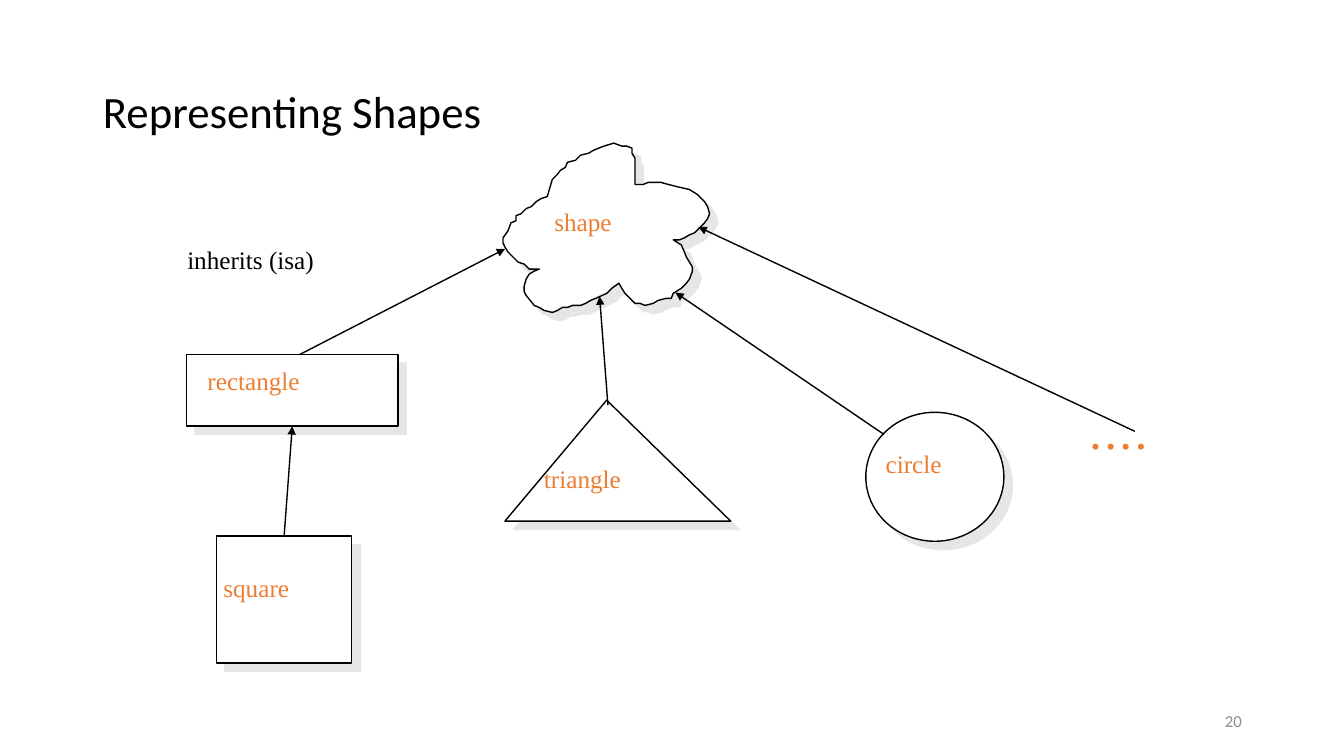
from lxml.etree import SubElement
from pptx import Presentation
from pptx.dml.color import RGBColor
from pptx.enum.shapes import MSO_CONNECTOR, MSO_SHAPE
from pptx.enum.text import MSO_ANCHOR, MSO_AUTO_SIZE, PP_ALIGN
from pptx.oxml.ns import qn
from pptx.util import Cm, Pt

BLACK = RGBColor(0x00, 0x00, 0x00)
WHITE = RGBColor(0xFF, 0xFF, 0xFF)
ORANGE = RGBColor(0xED, 0x7D, 0x31)
GRAY = RGBColor(0x8C, 0x8C, 0x8C)
SHADOW = RGBColor(0xE7, 0xE6, 0xE6)

SERIF = "Times New Roman"
SANS = "Calibri"
LABEL_HEIGHT = 1.12
OUTLINE_UNIT = Cm(2.54) / 100

CLOUD = [
    (545, 188), (548, 178), (553, 173), (556, 169), (561, 166), (563, 161),
    (571, 159), (576, 154), (584, 152), (589, 149), (594, 147), (599, 145),
    (609, 142), (617, 145), (622, 145), (627, 147), (627, 152), (630, 157),
    (630, 161), (630, 166), (630, 171), (630, 178), (630, 183), (638, 183),
    (643, 181), (651, 181), (656, 181), (663, 183), (671, 185), (684, 188),
    (692, 193), (699, 200), (702, 205), (704, 212), (702, 217), (699, 221),
    (694, 226), (689, 231), (684, 233), (679, 236), (674, 238), (668, 238),
    (676, 243), (679, 250), (681, 255), (684, 260), (687, 265), (687, 269),
    (684, 277), (681, 281), (676, 286), (668, 291), (666, 296), (661, 296),
    (653, 298), (648, 301), (640, 303), (635, 301), (630, 301), (625, 296),
    (620, 291), (617, 286), (614, 281), (607, 286), (602, 291), (591, 296),
    (586, 298), (581, 301), (576, 303), (568, 303), (563, 305), (558, 305),
    (553, 308), (548, 310), (540, 308), (535, 305), (530, 303), (522, 293),
    (520, 289), (520, 284), (522, 277), (525, 272), (530, 269), (535, 267),
    (530, 267), (525, 267), (520, 262), (514, 260), (509, 255), (504, 250),
    (501, 245), (499, 241), (499, 236), (504, 229), (507, 221), (512, 219),
    (512, 214), (517, 212), (522, 207), (527, 205), (532, 200), (537, 197),
    (543, 195),
]
TRIANGLE = [(725, 517), (501, 517), (602, 397)]


def write_text(tf, text, size=18, font=SERIF, color=ORANGE, align=PP_ALIGN.LEFT,
               anchor=MSO_ANCHOR.TOP, wrap=False, fit=MSO_AUTO_SIZE.SHAPE_TO_FIT_TEXT,
               line_spacing=None):
    tf.word_wrap = wrap
    tf.auto_size = fit
    tf.vertical_anchor = anchor
    p = tf.paragraphs[0]
    p.alignment = align
    p.line_spacing = line_spacing
    r = p.add_run()
    r.text = text
    r.font.size = Pt(size)
    r.font.name = font
    r.font.color.rgb = color


def add_label(s, text, left, top, width, height=LABEL_HEIGHT, **fmt):
    sp = s.shapes.add_textbox(Cm(left), Cm(top), Cm(width), Cm(height))
    write_text(sp.text_frame, text, **fmt)


def style_figure(sp):
    sp.fill.solid()
    sp.fill.fore_color.rgb = WHITE
    sp.line.color.rgb = BLACK
    sp.line.width = Pt(1)
    sp.shadow.inherit = False
    effects = sp.element.spPr.find(qn("a:effectLst"))
    shadow = SubElement(effects, qn("a:outerShdw"), dist=str(Pt(8.5)),
                        dir="2700000", algn="ctr", rotWithShape="0")
    SubElement(shadow, qn("a:srgbClr"), val=str(SHADOW))
    return sp


def add_figure(s, kind, left, top, width, height):
    return style_figure(s.shapes.add_shape(kind, Cm(left), Cm(top), Cm(width), Cm(height)))


def add_outline(s, points):
    builder = s.shapes.build_freeform(*points[0], scale=OUTLINE_UNIT)
    builder.add_line_segments(points[1:], close=True)
    return style_figure(builder.convert_to_shape())


def add_arrow(s, x1, y1, x2, y2):
    line = s.shapes.add_connector(MSO_CONNECTOR.STRAIGHT, Cm(x1), Cm(y1), Cm(x2), Cm(y2))
    line.line.color.rgb = BLACK
    line.line.width = Pt(1)
    spPr = line.element.spPr
    SubElement(spPr.find(qn("a:ln")), qn("a:tailEnd"), type="triangle")
    SubElement(spPr, qn("a:effectLst"))
    return line


def add_title(s, text):
    title = s.shapes.title
    title.left, title.top, title.width, title.height = Cm(2.34), Cm(1.02), Cm(29.21), Cm(3.68)
    write_text(title.text_frame, text, size=32, font=SANS, color=BLACK, wrap=True,
               anchor=MSO_ANCHOR.MIDDLE, fit=MSO_AUTO_SIZE.NONE, line_spacing=0.9)


def main():
    prs = Presentation()
    prs.slide_width, prs.slide_height = Cm(33.87), Cm(19.05)
    s = prs.slides.add_slide(prs.slide_layouts[5])

    add_title(s, "Representing Shapes")
    add_label(s, "20", 23.93, 17.65, 7.62, 1.02, size=12, font=SANS, color=GRAY, wrap=True,
              align=PP_ALIGN.RIGHT, anchor=MSO_ANCHOR.MIDDLE, fit=MSO_AUTO_SIZE.NONE)

    add_outline(s, CLOUD)
    add_label(s, "shape", 13.72, 5.08, 2.34)
    rectangle = add_figure(s, MSO_SHAPE.RECTANGLE, 4.7, 8.94, 5.33, 1.8)
    add_label(s, "rectangle", 4.98, 9.07, 3.38)
    square = add_figure(s, MSO_SHAPE.RECTANGLE, 5.46, 13.51, 3.4, 3.2)
    add_label(s, "square", 5.38, 14.3, 2.59)
    add_outline(s, TRIANGLE)
    add_label(s, "triangle", 13.46, 11.56, 2.92)
    add_figure(s, MSO_SHAPE.OVAL, 21.82, 10.39, 3.48, 3.25)
    add_label(s, "circle", 22.07, 11.18, 2.29)
    add_label(s, "• • • •", 27.25, 10.72, 3.35, wrap=True)

    add_arrow(s, 7.54, 8.94, 12.73, 6.27)
    add_arrow(s, 15.32, 10.21, 15.11, 7.47)
    add_arrow(s, 22.28, 10.95, 17.02, 7.37)
    square_isa = add_arrow(s, 7.21, 13.51, 7.32, 10.72)
    square_isa.begin_connect(square, 0)
    square_isa.end_connect(rectangle, 2)
    add_arrow(s, 28.6, 10.87, 17.6, 5.72)
    add_label(s, "inherits (isa)", 4.47, 6.02, 4.42, color=BLACK)

    prs.save("out.pptx")


if __name__ == "__main__":
    main()
